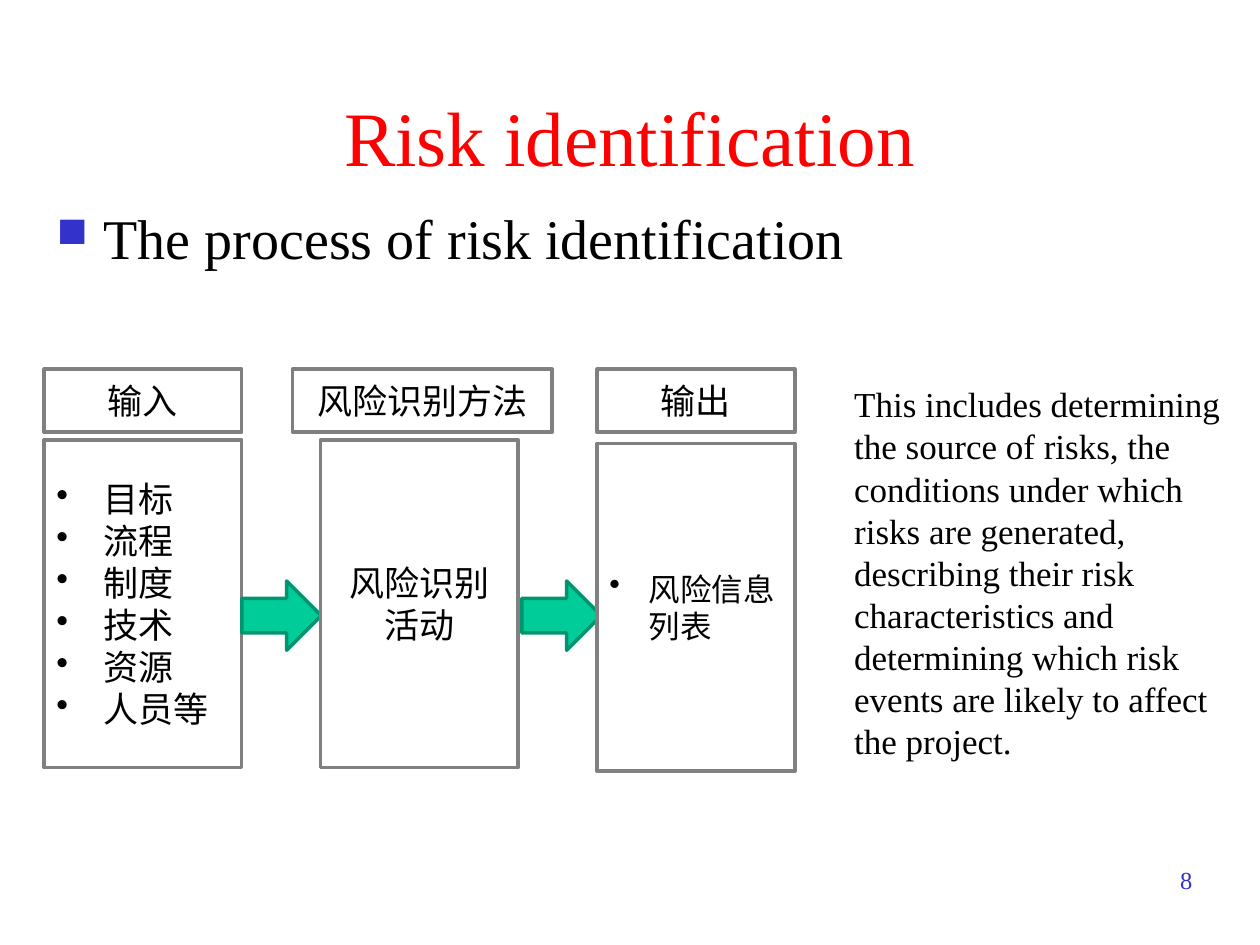
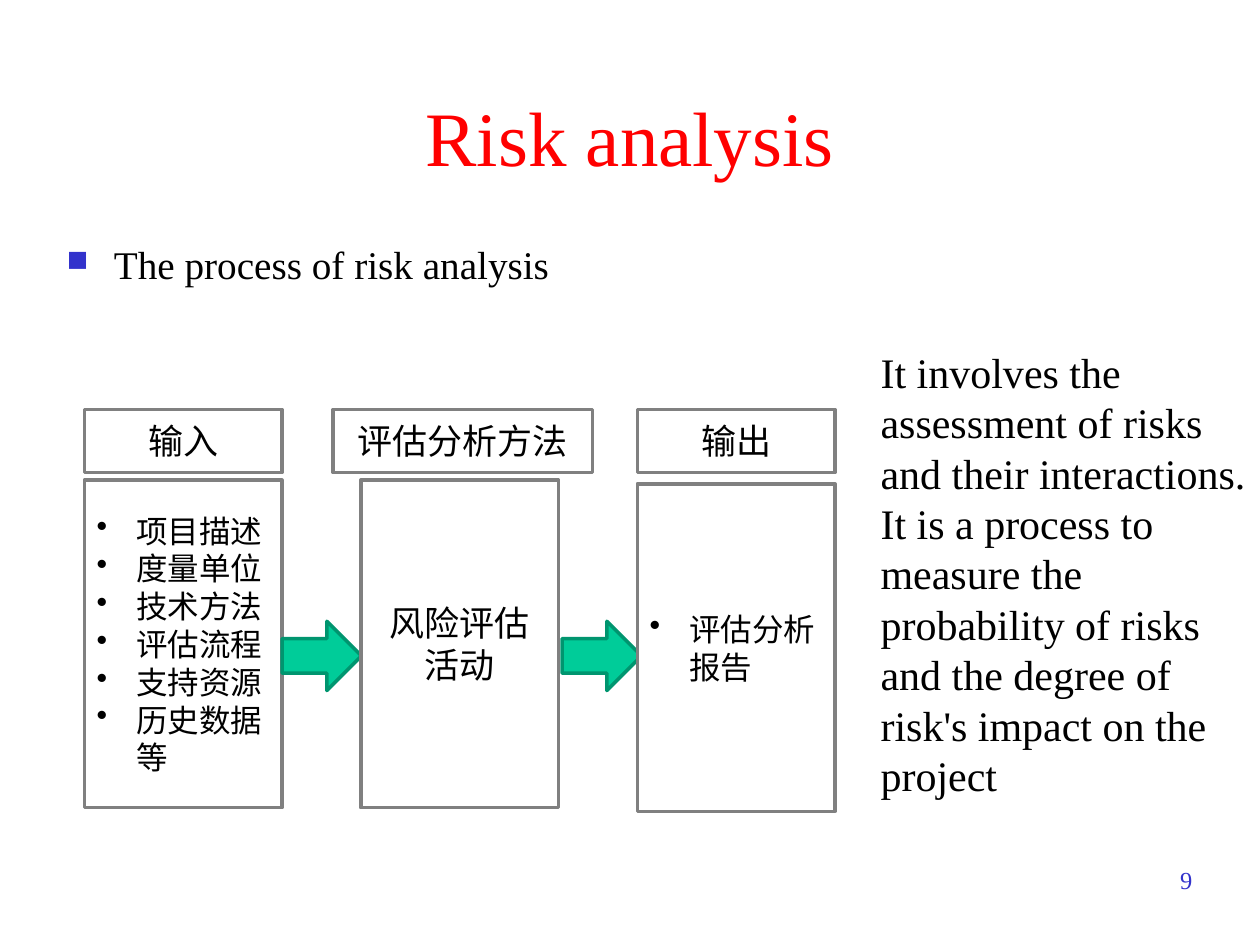
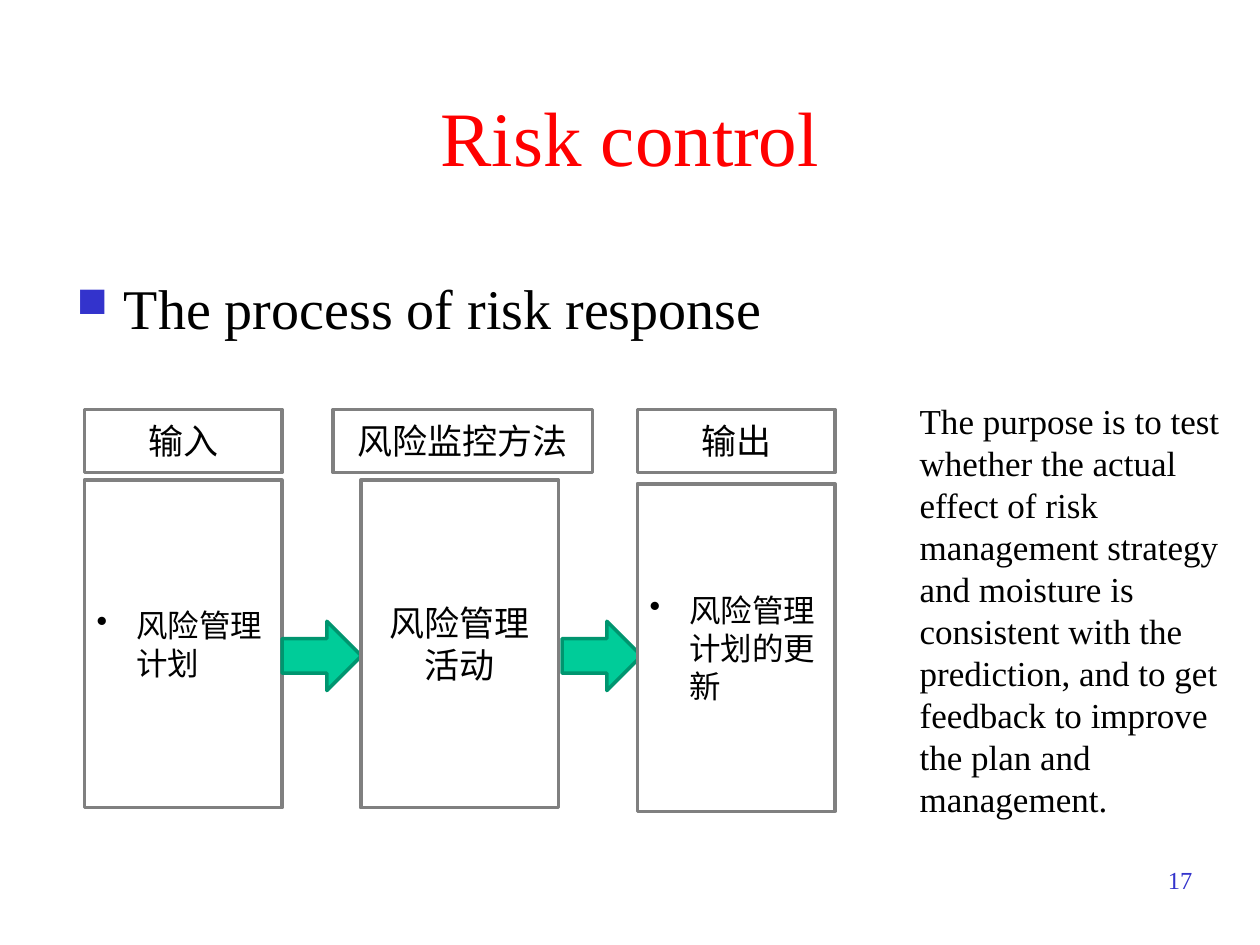
from dataclasses import dataclass
from typing import NamedTuple

from lxml import etree
from pptx import Presentation
from pptx import util as u
from pptx.dml.color import RGBColor
from pptx.enum import shapes, text
from pptx.oxml.ns import qn


@dataclass(frozen=True)
class Theme:
    font: str = "Times New Roman"
    title: str = "FF0000"
    accent: str = "3333CC"
    ink: str = "000000"
    paper: str = "FFFFFF"
    border: str = "808080"
    arrow: str = "00CC99"
    arrow_border: str = "00956F"
    line_width: float = 2
    title_size: float = 44
    headline_size: float = 32
    body_size: float = 20
    small_size: float = 18
    number_size: float = 14


class Frame(NamedTuple):
    left: float
    top: float
    width: float
    height: float

    def lengths(self) -> tuple:
        return tuple(u.Pt(value) for value in self)


class Bullet(NamedTuple):
    char: str
    color: str
    indent: float
    percent: int = 100


@dataclass(frozen=True)
class Process:
    left: float
    top: float
    inputs: list[str]
    activity: str
    method: str
    output: str
    input_size: float


@dataclass(frozen=True)
class RiskPage:
    number: int
    title: str
    headline: str
    headline_frame: Frame
    summary: str
    summary_frame: Frame
    process: Process
    headline_size: float
    summary_size: float
    headline_spacing: float = 1.0


THEME = Theme()
TITLE_FRAME = Frame(31, 32.4, 658, 90)
NUMBER_FRAME = Frame(538.6, 491, 149.8, 36)
SQUARE = Bullet("■", THEME.accent, 27, 75)
DOTS = {
    THEME.body_size: Bullet("•", THEME.ink, 27),
    THEME.small_size: Bullet("•", THEME.ink, 22.5),
}

COLUMN_WIDTH = 113
COLUMN_STEP = 158
METHOD_WIDTH = 148.4
METHOD_SHIFT = 142
HEADER_HEIGHT = 36
BODY_SHIFT = 40.4
OUTPUT_SHIFT = 42.5
BODY_HEIGHT = 187.2
ARROW_SHIFTS = (113, 273)
ARROW_DROP = 121
ARROW_WIDTH, ARROW_HEIGHT = 45.4, 39.6

PAGES = [
    RiskPage(
        8, "Risk identification",
        "The process of risk identification", Frame(25.2, 113, 658, 70.6),
        "This includes determining the source of risks, the conditions under "
        "which risks are generated, describing their risk characteristics and "
        "determining which risk events are likely to affect the project.",
        Frame(481, 215.3, 238.3, 223.2),
        Process(25.2, 211, ["目标", "流程", "制度", "技术", "资源", "人员等"],
                "风险识别活动", "风险识别方法", "风险信息列表", THEME.body_size),
        THEME.headline_size, THEME.body_size,
    ),
    RiskPage(
        9, "Risk analysis",
        "The process of risk analysis", Frame(31, 134, 658, 36),
        "It involves the assessment of risks and their interactions. It is a "
        "process to measure the probability of risks and the degree of risk's "
        "impact on the project",
        Frame(496.1, 194.4, 223.9, 266.4),
        Process(48.2, 234, ["项目描述", "度量单位", "技术方法", "评估流程",
                            "支持资源", "历史数据等"],
                "风险评估活动", "评估分析方法", "评估分析报告", THEME.small_size),
        22.4, 24,
    ),
    RiskPage(
        17, "Risk control",
        "The process of risk response", Frame(36.7, 157, 419.8, 46),
        "The purpose is to test whether the actual effect of risk management "
        "strategy and moisture is consistent with the prediction, and to get "
        "feedback to improve the plan and management.",
        Frame(518.4, 224.6, 195.8, 247.7),
        Process(48.2, 234, ["风险管理计划"],
                "风险管理活动", "风险监控方法", "风险管理计划的更新", THEME.small_size),
        THEME.headline_size, THEME.body_size, 0.9,
    ),
]


def add_bullet(para, bullet: Bullet) -> None:
    properties = para._p.get_or_add_pPr()
    properties.set("marL", str(u.Pt(bullet.indent)))
    properties.set("indent", str(-u.Pt(bullet.indent)))
    color = etree.SubElement(properties, qn("a:buClr"))
    etree.SubElement(color, qn("a:srgbClr"), val=bullet.color)
    etree.SubElement(properties, qn("a:buSzPct"), val=str(bullet.percent * 1000))
    etree.SubElement(properties, qn("a:buChar"), char=bullet.char)


def write(box, *lines: str, size: float = THEME.body_size, color: str = THEME.ink,
          align=text.PP_ALIGN.LEFT, anchor=text.MSO_ANCHOR.TOP,
          bullet: Bullet | None = None, spacing: float = 1.0,
          fit=text.MSO_AUTO_SIZE.NONE) -> None:
    """Fill a shape with one paragraph per line, all in one format."""
    frame = box.text_frame
    frame.word_wrap = True
    frame.auto_size = fit
    frame.vertical_anchor = anchor
    frame.margin_left = frame.margin_right = u.Pt(7.2)
    frame.margin_top = frame.margin_bottom = u.Pt(3.6)
    for index, line in enumerate(lines):
        para = frame.add_paragraph() if index else frame.paragraphs[0]
        if bullet:
            add_bullet(para, bullet)
        para.alignment = align
        para.line_spacing = spacing
        span = para.add_run()
        span.text = line
        span.font.name = THEME.font
        span.font.size = u.Pt(size)
        span.font.color.rgb = RGBColor.from_string(color)


def add_text(page, frame: Frame, line: str, **style) -> None:
    write(page.shapes.add_textbox(*frame.lengths()), line, **style)


def add_figure(page, kind, frame: Frame, fill: str, border: str):
    figure = page.shapes.add_shape(kind, *frame.lengths())
    figure.shadow.inherit = False
    figure.fill.solid()
    figure.fill.fore_color.rgb = RGBColor.from_string(fill)
    figure.line.color.rgb = RGBColor.from_string(border)
    figure.line.width = u.Pt(THEME.line_width)
    return figure


def add_panel(page, frame: Frame, *lines: str, **style) -> None:
    panel = add_figure(page, shapes.MSO_SHAPE.RECTANGLE, frame,
                       THEME.paper, THEME.border)
    style.setdefault("align", text.PP_ALIGN.CENTER)
    write(panel, *lines, anchor=text.MSO_ANCHOR.MIDDLE, **style)


def add_list_panel(page, frame: Frame, lines: list[str], size: float) -> None:
    add_panel(page, frame, *lines, size=size, bullet=DOTS[size],
              align=text.PP_ALIGN.LEFT)


def add_arrow(page, process: Process, shift: float) -> None:
    frame = Frame(process.left + shift, process.top + ARROW_DROP,
                  ARROW_WIDTH, ARROW_HEIGHT)
    add_figure(page, shapes.MSO_SHAPE.RIGHT_ARROW, frame,
               THEME.arrow, THEME.arrow_border)


def draw_process(page, process: Process) -> None:
    """Draw input, activity and output columns from left to right."""
    input_left, activity_left, output_left = (
        process.left + COLUMN_STEP * column for column in range(3))

    def header(left: float, width: float = COLUMN_WIDTH) -> Frame:
        return Frame(left, process.top, width, HEADER_HEIGHT)

    def body(left: float, shift: float = BODY_SHIFT) -> Frame:
        return Frame(left, process.top + shift, COLUMN_WIDTH, BODY_HEIGHT)

    add_list_panel(page, body(input_left), process.inputs, process.input_size)
    add_panel(page, header(input_left), "输入")
    add_arrow(page, process, ARROW_SHIFTS[0])
    add_panel(page, body(activity_left), process.activity)
    add_panel(page, header(process.left + METHOD_SHIFT, METHOD_WIDTH), process.method)
    add_arrow(page, process, ARROW_SHIFTS[1])
    add_list_panel(page, body(output_left, OUTPUT_SHIFT), [process.output],
                   THEME.small_size)
    add_panel(page, header(output_left), "输出")


def draw_page(deck, content: RiskPage) -> None:
    page = deck.slides.add_slide(deck.slide_layouts.get_by_name("Title Only"))
    title = page.shapes.title
    title.left, title.top, title.width, title.height = TITLE_FRAME.lengths()
    write(title, content.title, size=THEME.title_size, color=THEME.title,
          align=text.PP_ALIGN.CENTER, anchor=text.MSO_ANCHOR.MIDDLE)
    add_text(page, NUMBER_FRAME, str(content.number), size=THEME.number_size,
             color=THEME.accent, align=text.PP_ALIGN.RIGHT)
    add_text(page, content.headline_frame, content.headline, bullet=SQUARE,
             size=content.headline_size, spacing=content.headline_spacing)
    add_text(page, content.summary_frame, content.summary,
             size=content.summary_size, fit=text.MSO_AUTO_SIZE.SHAPE_TO_FIT_TEXT)
    draw_process(page, content.process)


def main() -> None:
    deck = Presentation()
    deck.slide_width, deck.slide_height = u.Pt(720), u.Pt(540)
    for content in PAGES:
        draw_page(deck, content)
    deck.save("out.pptx")


if __name__ == "__main__":
    main()
